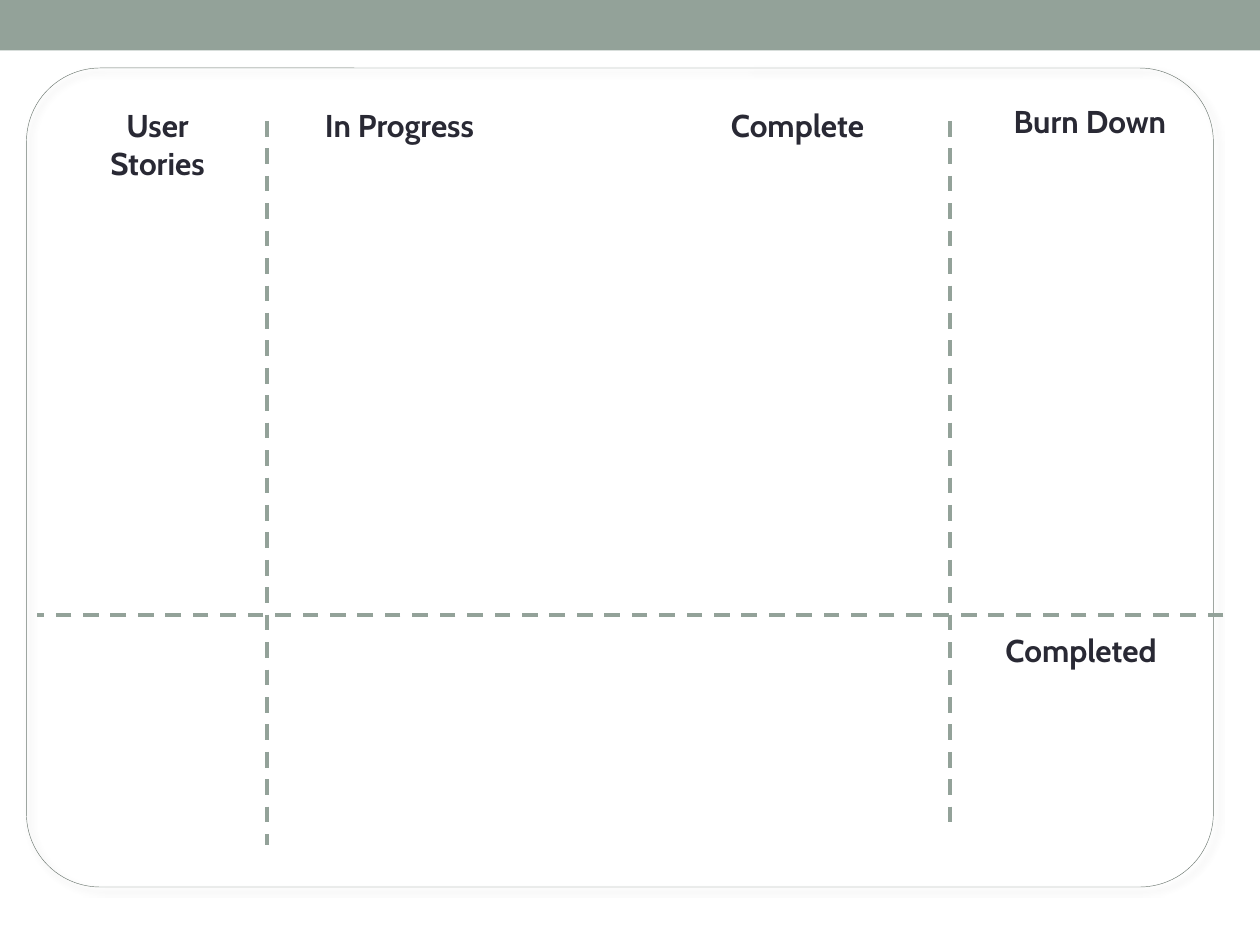
from lxml import etree
from pptx import Presentation
from pptx import util as u
from pptx.dml.color import RGBColor
from pptx.enum import dml, shapes, text
from pptx.oxml import ns, parse_xml

SAGE = RGBColor(0x93, 0xA2, 0x99)
OUTLINE = RGBColor(0x6D, 0x78, 0x71)
INK = RGBColor(0x29, 0x29, 0x34)

FRAME_SHADOW = (
    f'<a:effectLst {ns.nsdecls("a")}>'
    '<a:outerShdw blurRad="50800" dist="38100" dir="2700000" algn="tl" rotWithShape="0">'
    '<a:srgbClr val="000000"><a:alpha val="40000"/></a:srgbClr>'
    '</a:outerShdw></a:effectLst>'
)


class Board:
    """Holds the style and the current slide of a task board."""

    font = "Cabin"
    font_size = u.Pt(18)

    def __init__(self, slide):
        self.slide = slide

    def band(self, left, top, width, height):
        shape = self.slide.shapes.add_shape(
            shapes.MSO_SHAPE.RECTANGLE, *map(u.Inches, (left, top, width, height)))
        shape.shadow.inherit = False
        shape.fill.solid()
        shape.fill.fore_color.rgb = SAGE
        shape.line.fill.background()

    def frame(self, left, top, width, height, rounding):
        shape = self.slide.shapes.add_shape(
            shapes.MSO_SHAPE.ROUNDED_RECTANGLE, *map(u.Inches, (left, top, width, height)))
        shape.adjustments[0] = rounding
        shape.fill.background()
        shape.line.color.rgb = OUTLINE
        shape.line.width = u.Pt(0.25)
        shape._element.spPr.append(parse_xml(FRAME_SHADOW))

    def divider(self, x1, y1, x2, y2):
        line = self.slide.shapes.add_connector(
            shapes.MSO_CONNECTOR.STRAIGHT, *map(u.Inches, (x1, y1, x2, y2)))
        line.line.color.rgb = SAGE
        line.line.width = u.Pt(2.25)
        line.line.dash_style = dml.MSO_LINE.DASH
        etree.SubElement(line._element.spPr, ns.qn("a:effectLst"))

    def heading(self, words, left, top, width, height):
        box = self.slide.shapes.add_textbox(*map(u.Inches, (left, top, width, height)))
        frame = box.text_frame
        frame.word_wrap = True
        paragraph = frame.paragraphs[0]
        paragraph.alignment = text.PP_ALIGN.CENTER
        run = paragraph.add_run()
        run.text = words
        run.font.name = self.font
        run.font.size = self.font_size
        run.font.bold = True
        run.font.color.rgb = INK


def main():
    presentation = Presentation()
    presentation.slide_width = u.Inches(10)
    presentation.slide_height = u.Inches(7.5)
    board = Board(presentation.slides.add_slide(presentation.slide_layouts[6]))

    # Top band and board outline
    board.band(0, 0, 10, 0.4)
    board.frame(0.21, 0.54, 9.42, 6.5, 0.09)

    # Dashed dividers
    board.divider(2.12, 0.96, 2.12, 6.71)
    board.divider(9.71, 4.88, 0.29, 4.88)
    board.divider(7.54, 0.96, 7.54, 6.62)

    # Column headings
    for words, left in (("In Progress", 2.46), ("Complete", 5.62), ("User Stories", 0.54)):
        board.heading(words, left, 0.79, 1.42, 0.42)

    # Right-hand panel headings
    for words, left, top in (("Burn Down", 7.86, 0.76), ("Completed", 7.79, 4.96)):
        board.heading(words, left, top, 1.58, 0.4)

    presentation.save("out.pptx")


if __name__ == "__main__":
    main()
